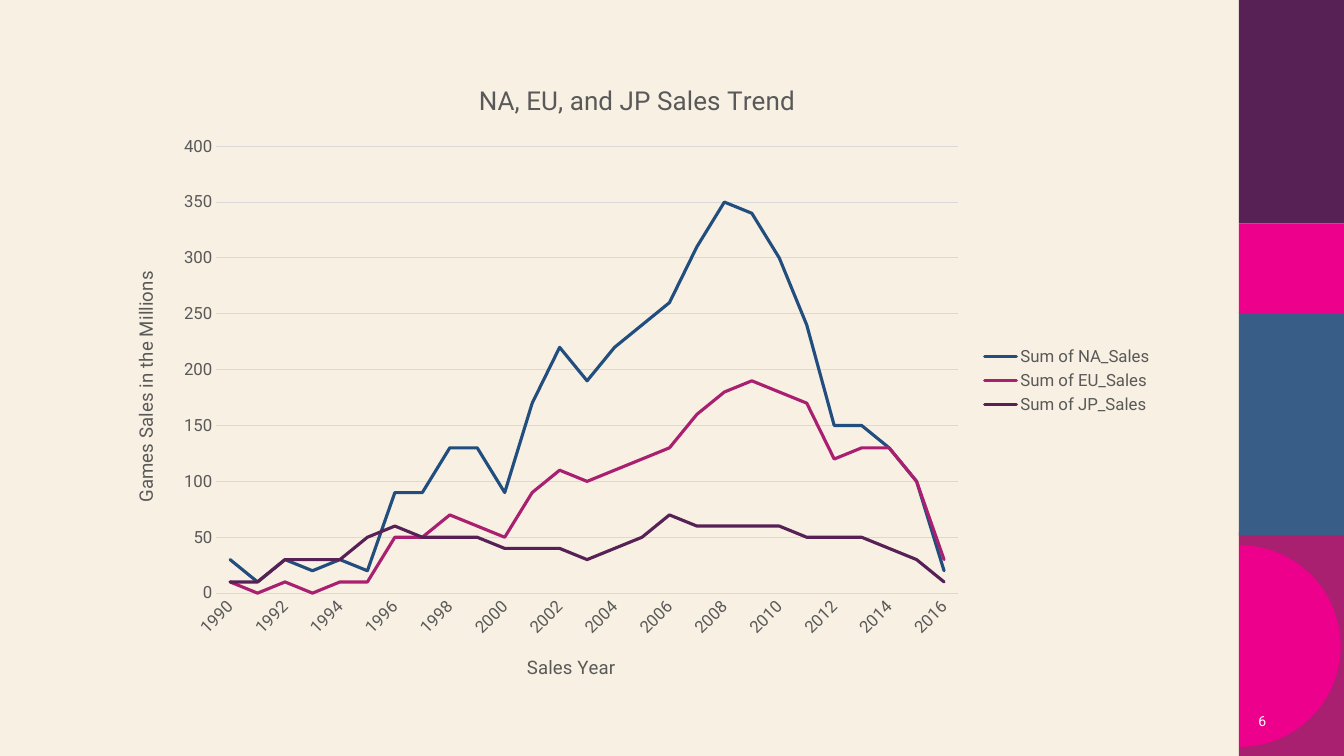
from math import cos, pi, sin

from lxml.etree import SubElement
from pptx import Presentation
from pptx.chart.data import CategoryChartData
from pptx.dml.color import RGBColor
from pptx.enum.chart import XL_CHART_TYPE, XL_LEGEND_POSITION, XL_TICK_MARK
from pptx.enum.shapes import MSO_SHAPE
from pptx.enum.text import MSO_ANCHOR, PP_ALIGN
from pptx.oxml.ns import qn
from pptx.util import Pt

# Content
TITLE = "NA, EU, and JP Sales Trend"
X_NAME = "Sales Year"
Y_NAME = "Games Sales in the Millions"
PAGE = "6"
YEARS = [str(year) for year in range(1990, 2017)]
SALES = [
    ("Sum of NA_Sales", "navy",
     [30, 10, 30, 20, 30, 20, 90, 90, 130, 130, 90, 170, 220, 190, 220, 240,
      260, 310, 350, 340, 300, 240, 150, 150, 130, 100, 20]),
    ("Sum of EU_Sales", "berry",
     [10, 0, 10, 0, 10, 10, 50, 50, 70, 60, 50, 90, 110, 100, 110, 120,
      130, 160, 180, 190, 180, 170, 120, 130, 130, 100, 30]),
    ("Sum of JP_Sales", "plum",
     [10, 10, 30, 30, 30, 50, 60, 50, 50, 50, 40, 40, 40, 30, 40, 50,
      70, 60, 60, 60, 60, 50, 50, 50, 40, 30, 10]),
]

# Style, lengths in points
FONT = "Roboto"
COLORS = {"cream": "F8F0E3", "navy": "224E7F", "berry": "AA2070",
          "plum": "582156", "blue": "385E88", "pink": "EC008C",
          "gray": "595959", "rule": "D9D9D9", "white": "FFFFFF"}
SIDE, WIDE = 885, 80
BANDS = [("berry", 380, 160), ("blue", 223, 159.5),
         ("plum", 0, 159.5), ("pink", 159.5, 64)]
HUB, MID, RAD = 885.6, 461.5, 72
BOX = (80, 42.5, 751, 458.6)
PLOT = (154.6, 104.5, 529.6, 319.3)


def color(name):
    return RGBColor.from_string(COLORS[name])


def paint(shape, name):
    shape.shadow.inherit = False
    shape.fill.solid()
    shape.fill.fore_color.rgb = color(name)
    shape.line.fill.background()


def style(font, size, name="gray"):
    form = {"name": FONT, "size": Pt(size), "bold": False}
    for key, val in form.items():
        setattr(font, key, val)
    font.color.rgb = color(name)


def stroke(line, name, width):
    line.color.rgb = color(name)
    line.width = Pt(width)


def place(node, spot, index):
    """Fix a chart part at a spot given in slide points."""
    for old in node.findall(qn("c:layout")):
        node.remove(old)
    frame = SubElement(node, qn("c:layout"))
    node.insert(index, frame)
    rule = SubElement(frame, qn("c:manualLayout"))
    if len(spot) == 4:
        SubElement(rule, qn("c:layoutTarget")).set("val", "inner")
    for key in ("xMode", "yMode"):
        SubElement(rule, qn("c:" + key)).set("val", "edge")
    parts = ((spot[0] - BOX[0]) / BOX[2], (spot[1] - BOX[1]) / BOX[3])
    if len(spot) == 4:
        parts += (spot[2] / BOX[2], spot[3] / BOX[3])
    for key, val in zip("xywh", parts):
        SubElement(rule, qn("c:" + key)).set("val", f"{val:.4f}")


def label(title, text, size, spot):
    title.text_frame.text = text
    style(title.text_frame.paragraphs[0].runs[0].font, size)
    place(title._element, spot, 1)


def add_side(slide):
    # Colour bands
    for name, top, high in BANDS:
        band = slide.shapes.add_shape(
            MSO_SHAPE.RECTANGLE, Pt(SIDE), Pt(top), Pt(WIDE), Pt(high))
        paint(band, name)
    # Half disc
    turns = [pi * step / 60 - pi / 2 for step in range(61)]
    arc = [(Pt(HUB + RAD * cos(t)), Pt(MID + RAD * sin(t))) for t in turns]
    form = slide.shapes.build_freeform(*arc[0])
    form.add_line_segments(arc[1:], close=True)
    paint(form.convert_to_shape(), "pink")
    # Page number
    frame = slide.shapes.add_textbox(
        Pt(875.5), Pt(500.5), Pt(36), Pt(29)).text_frame
    frame.word_wrap = True
    frame.vertical_anchor = MSO_ANCHOR.MIDDLE
    para = frame.paragraphs[0]
    para.alignment = PP_ALIGN.RIGHT
    run = para.add_run()
    run.text = PAGE
    style(run.font, 10, "white")


def add_trend(slide):
    data = CategoryChartData()
    data.categories = YEARS
    for name, _, vals in SALES:
        data.add_series(name, vals)
    chart = slide.shapes.add_chart(
        XL_CHART_TYPE.LINE, *map(Pt, BOX), data).chart
    style(chart.font, 12)
    chart.has_title = True
    label(chart.chart_title, TITLE, 18.6, (338.7, 55.8))
    plot = chart.plots[0]
    plot.vary_by_categories = False
    # Lines
    for line, (_, name, _) in zip(plot.series, SALES):
        line.smooth = False
        stroke(line.format.line, name, 2.25)
        line.format.line._ln.set("cap", "rnd")
    # Axes
    cat, val = chart.category_axis, chart.value_axis
    for axis, text, spot in ((cat, X_NAME, (374, 465)),
                             (val, Y_NAME, (92.5, 191.3))):
        axis.major_tick_mark = axis.minor_tick_mark = XL_TICK_MARK.NONE
        style(axis.tick_labels.font, 12)
        axis.has_title = True
        label(axis.axis_title, text, 13.3, spot)
    turn = val.axis_title.text_frame._txBody.bodyPr
    turn.set("rot", "-5400000")
    turn.set("vert", "horz")
    stroke(cat.format.line, "rule", 0.75)
    val.format.line.fill.background()
    form = {"minimum_scale": 0, "maximum_scale": 400, "major_unit": 50,
            "has_major_gridlines": True}
    for key, item in form.items():
        setattr(val, key, item)
    stroke(val.major_gridlines.format.line, "rule", 0.75)
    # Slanted labels, every second year
    node = cat._element
    node.find(qn("c:txPr")).find(qn("a:bodyPr")).set("rot", "-2700000")
    skip = SubElement(node, qn("c:tickLblSkip"))
    skip.set("val", "2")
    node.find(qn("c:noMultiLvlLbl")).addprevious(skip)
    # Legend and plot area
    chart.has_legend = True
    chart.legend.position = XL_LEGEND_POSITION.RIGHT
    chart.legend.include_in_layout = False
    style(chart.legend.font, 12)
    place(node.getparent(), PLOT, 0)


def main():
    deck = Presentation()
    deck.slide_width, deck.slide_height = Pt(960), Pt(540)
    slide = deck.slides.add_slide(deck.slide_layouts[6])
    slide.background.fill.solid()
    slide.background.fill.fore_color.rgb = color("cream")
    add_side(slide)
    add_trend(slide)
    deck.save("out.pptx")


if __name__ == "__main__":
    main()
